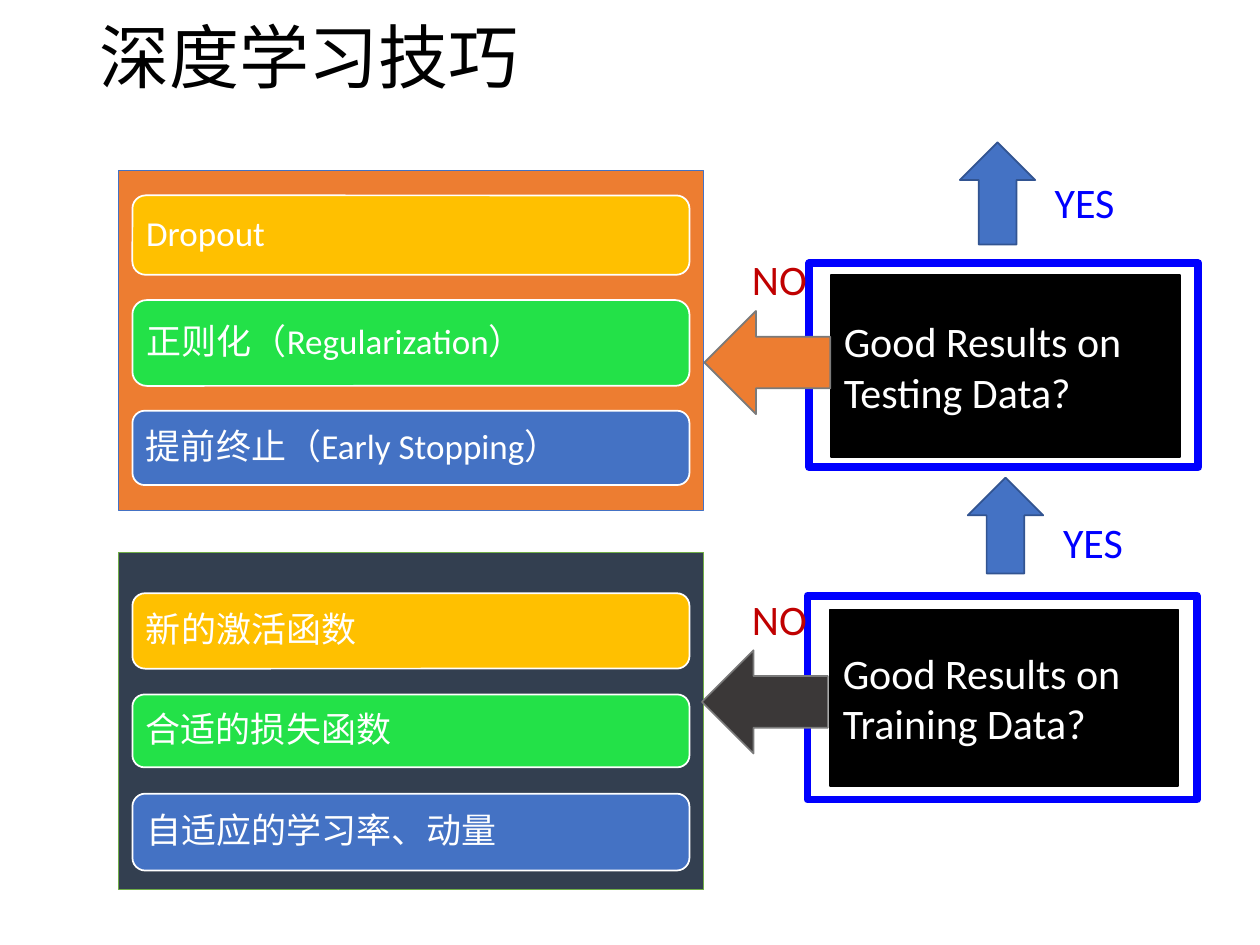
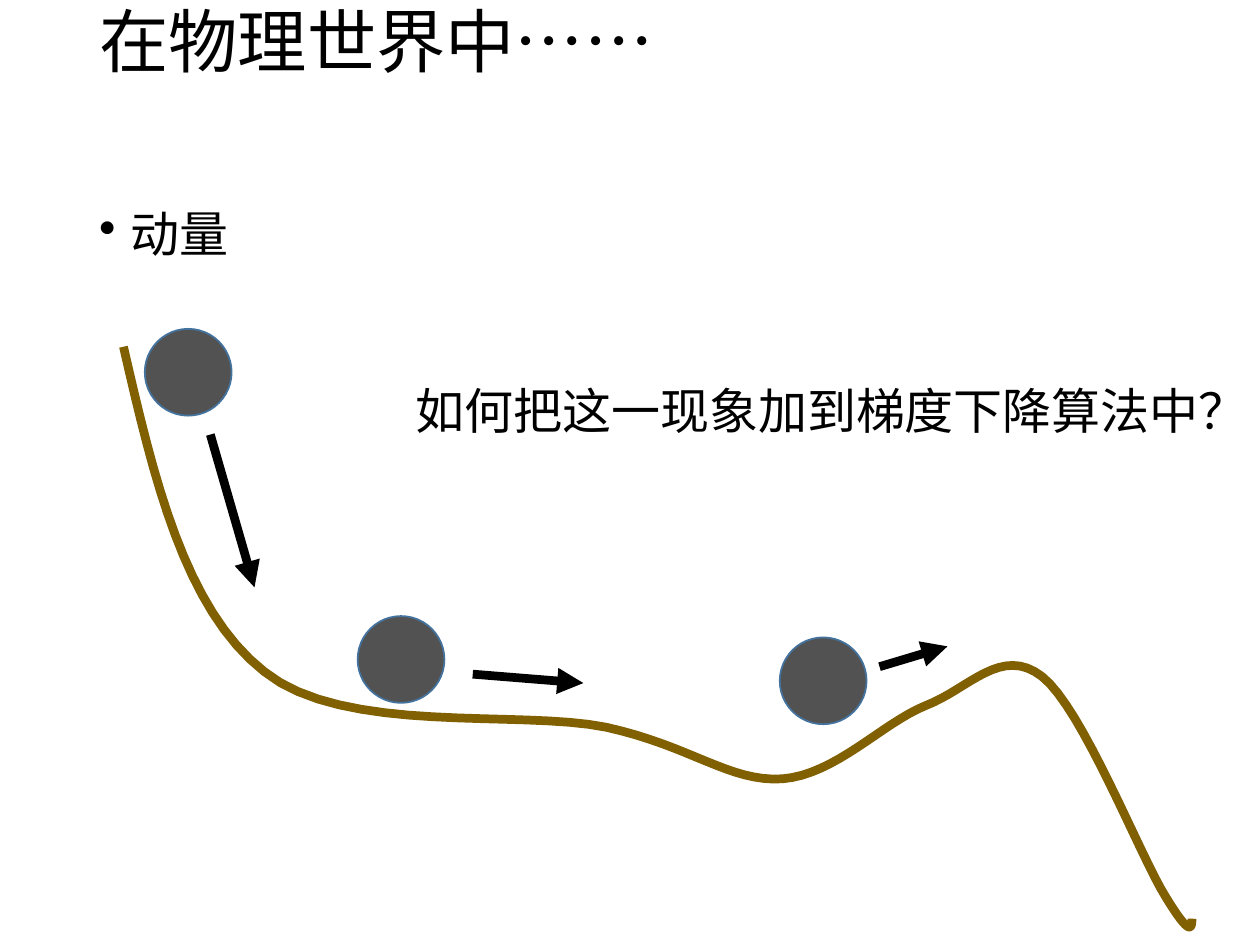
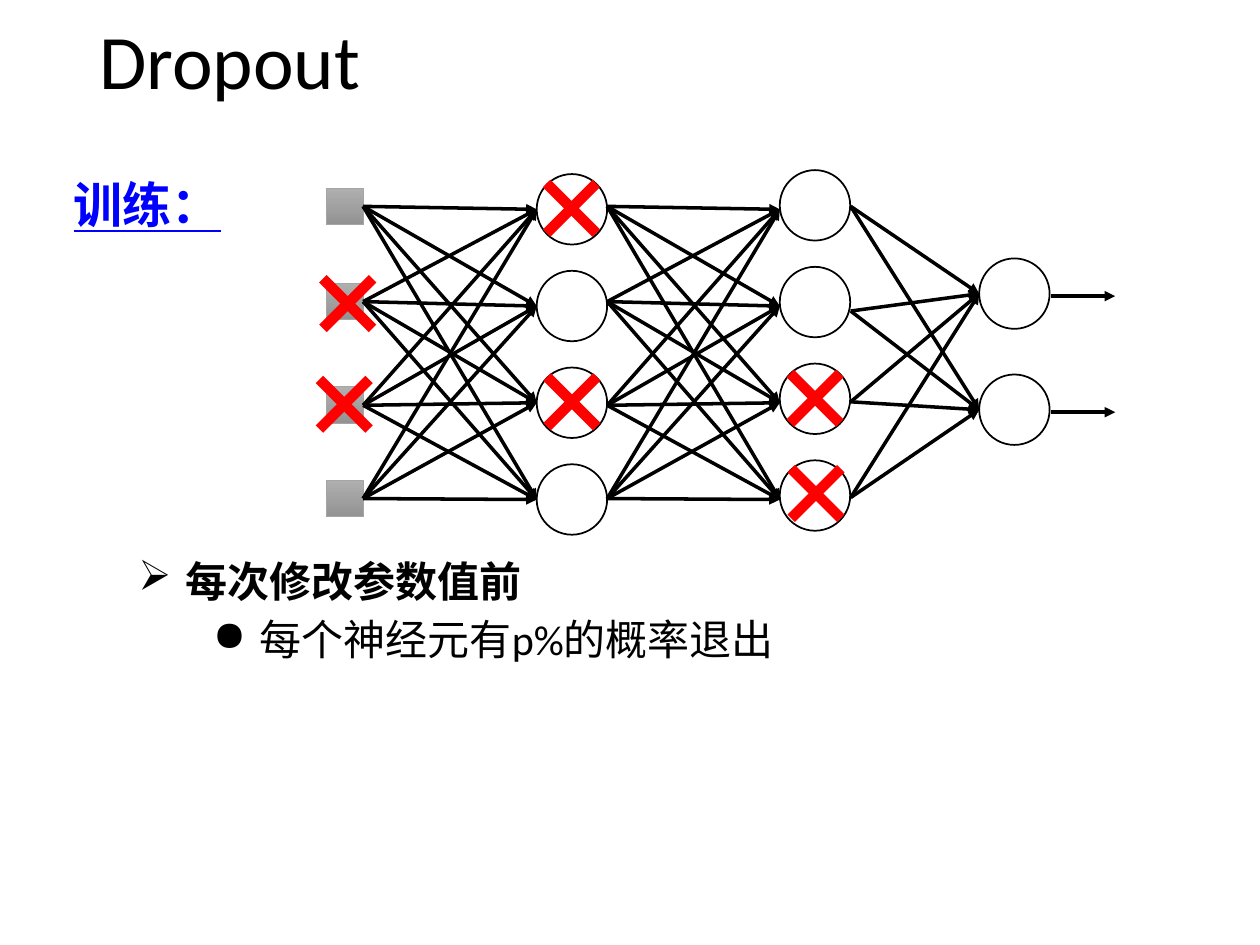
from pptx import Presentation
from pptx.dml.color import RGBColor as RGB
from pptx.enum.shapes import MSO_CONNECTOR as LINK, MSO_SHAPE as SHAPE
from pptx.enum.text import MSO_ANCHOR as ANCHOR, PP_ALIGN as ALIGN
from pptx.oxml.ns import qn
from pptx.util import Cm, Pt
from lxml.etree import SubElement

FONT = "Calibri"
BLACK = RGB(0x00, 0x00, 0x00)
WHITE = RGB(0xFF, 0xFF, 0xFF)
BLUE = RGB(0x44, 0x72, 0xC4)
NAVY = RGB(0x32, 0x54, 0x91)
VIVID = RGB(0x00, 0x00, 0xFF)
SLATE = RGB(0x33, 0x3F, 0x50)
STEEL = RGB(0x43, 0x73, 0x9E)
ORANGE = RGB(0xED, 0x7D, 0x31)
GOLD = RGB(0xFF, 0xC0, 0x00)
GREEN = RGB(0x23, 0xE1, 0x48)
LEAF = RGB(0x70, 0xAD, 0x47)
BROWN = RGB(0x80, 0x60, 0x00)
CRIMSON = RGB(0xC0, 0x00, 0x00)
RED = RGB(0xFF, 0x00, 0x00)
COAL = RGB(0x3B, 0x38, 0x38)
BALL = RGB(0x52, 0x52, 0x52)
GREY = RGB(0x7A, 0x7A, 0x7A)
PALE = RGB(0xAF, 0xAF, 0xAF)
MID = RGB(0xA5, 0xA5, 0xA5)
DIM = RGB(0x93, 0x93, 0x93)


def put(slide, kind, box, fill=None, line=None, width=1, text="",
        size=24, color=BLACK, bullet=None, indent=0.95):
    """Add a preset shape, or a text box when kind is None."""
    box = [Cm(n) for n in box]
    if kind is None:
        item = slide.shapes.add_textbox(*box)
    else:
        item = slide.shapes.add_shape(kind, *box)
        item.shadow.inherit = False
        if fill is None:
            item.fill.background()
        else:
            item.fill.solid()
            item.fill.fore_color.rgb = fill
        item.line.color.rgb = line
        item.line.width = Pt(width)
    if text:
        frame = item.text_frame
        frame.text = text
        frame.word_wrap = True
        par = frame.paragraphs[0]
        font = par.runs[0].font
        font.name, font.size, font.color.rgb = FONT, Pt(size), color
        if bullet:
            props = par._p.get_or_add_pPr()
            props.set("marL", str(Cm(indent)))
            props.set("indent", str(-Cm(indent)))
            SubElement(props, qn("a:buChar")).set("char", bullet)
    return item


def link(slide, x1, y1, x2, y2, color=BLACK, width=2, head=True):
    """Add a straight line, with an arrowhead at its end by default."""
    item = slide.shapes.add_connector(
        LINK.STRAIGHT, Cm(x1), Cm(y1), Cm(x2), Cm(y2))
    item.line.color.rgb = color
    item.line.width = Pt(width)
    if head:
        SubElement(item.line._get_or_add_ln(), qn("a:tailEnd")).set("type", "triangle")
    SubElement(item._element.spPr, qn("a:effectLst"))
    return item


deck = Presentation()
deck.slide_width, deck.slide_height = Cm(25.4), Cm(19.05)

# Slides and their titles: text, height, size, line spacing
titles = [("深度学习技巧", 1.96, 40, 1),
          ("在物理世界中……", 1.55, 39.6, 0.9),
          ("Dropout", 2.36, 44, 0.9)]
pages = []
for text, high, size, gap in titles:
    page = deck.slides.add_slide(deck.slide_layouts[6])
    title = put(page, None, (1.75, 0.13, 21.9, high), text=text, size=size)
    title.text_frame.vertical_anchor = ANCHOR.MIDDLE
    title.text_frame.paragraphs[0].line_spacing = gap
    pages.append(page)
tips, hill, drop = pages

# Slide 1: each stage has a panel of tips, a question and its two answers
stages = [
    dict(panel=(3.43, 6.86), fill=ORANGE, edge=BLUE, back=ORANGE,
         bars=[("Dropout", 3.94, 1.6), ("正则化（Regularization）", 6.05, 1.73),
               ("提前终止（Early Stopping）", 8.28, 1.5)],
         ask="Good Results on Testing Data?", gate=(16.76, 5.54, 7.03, 3.68),
         ring=(16.31, 5.31), up=(19.35, 2.87, 1.52, 2.06), yes=(21.01, 3.43),
         no=4.98, left=(14.2, 6.27)),
    dict(panel=(11.13, 6.81), fill=SLATE, edge=LEAF, back=COAL,
         bars=[("新的激活函数", 11.96, 1.52), ("合适的损失函数", 14, 1.47),
               ("自适应的学习率、动量", 16, 1.55)],
         ask="Good Results on Training Data?", gate=(16.74, 12.29, 7.01, 3.56),
         ring=(16.28, 12.01), up=(19.51, 9.63, 1.52, 1.93), yes=(21.18, 10.29),
         no=11.84, left=(14.15, 13.11)),
]
for stage in stages:
    top, high = stage["panel"]
    put(tips, SHAPE.RECTANGLE, (2.39, top, 11.79, high), stage["fill"], stage["edge"], 0.5)
    for (text, top, high), fill in zip(stage["bars"], (GOLD, GREEN, BLUE)):
        bar = put(tips, SHAPE.ROUNDED_RECTANGLE, (2.67, top, 11.23, high),
                  fill, WHITE, 1, text, 20, WHITE)
        bar.text_frame.margin_left = Cm(0.2)
        bar.text_frame.paragraphs[0].alignment = ALIGN.LEFT
        bar.text_frame.paragraphs[0].line_spacing = 0.9
    put(tips, SHAPE.RECTANGLE, stage["gate"], BLACK, BLACK, 1, stage["ask"], 24, WHITE)
    put(tips, SHAPE.RECTANGLE, (*stage["ring"], 7.85, 4.11), None, VIVID, 4.5)
    put(tips, SHAPE.UP_ARROW, stage["up"], BLUE, NAVY)
    put(tips, SHAPE.LEFT_ARROW, (*stage["left"], 2.54, 2.08), stage["back"], GREY)
    put(tips, None, (*stage["yes"], 2.13, 1.27), text="YES", color=VIVID)
    put(tips, None, (14.91, stage["no"], 1.85, 1.27), text="NO", color=CRIMSON)

# Slide 2: text
body = put(hill, None, (1.75, 4.11, 21.9, 13.03), text="动量", size=28,
           bullet="•", indent=0.64)
body.text_frame.paragraphs[0].line_spacing = 0.9
body.text_frame.paragraphs[0].space_before = Pt(10)
put(hill, None, (8.13, 7.54, 16.36, 1.45), text="如何把这一现象加到梯度下降算法中？", size=28)

# Slide 2: the slope, a chain of cubic curves drawn in short steps
start = (2.49, 6.99)
curves = [((3.1, 9.63), (3.71, 12.27), (5.33, 13.54)),
          ((6.93, 14.83), (10.46, 14.3), (12.22, 14.66)),
          ((13.94, 15.04), (14.71, 15.77), (15.77, 15.7)),
          ((16.84, 15.62), (17.78, 14.58), (18.67, 14.22)),
          ((19.53, 13.89), (20.19, 13), (21.01, 13.64)),
          ((21.82, 14.27), (22.99, 17.27), (23.5, 18.08)),
          ((24, 18.9), (24.03, 18.72), (24.03, 18.52))]
steps = 16
points, here = [], start
for one, two, end in curves:
    for i in range(1, steps + 1):
        t = i / steps
        u = 1 - t
        points.append([Cm(u**3 * a + 3 * u * u * t * b + 3 * u * t * t * c + t**3 * d)
                       for a, b, c, d in zip(here, one, two, end)])
    here = end
path = hill.shapes.build_freeform(Cm(start[0]), Cm(start[1]))
path.add_line_segments(points, close=False)
slope = path.convert_to_shape()
slope.shadow.inherit = False
slope.fill.background()
slope.line.color.rgb = BROWN
slope.line.width = Pt(5)

# Slide 2: balls and the way each one moves
for left, top in [(2.92, 6.63), (7.21, 12.42), (15.72, 12.85)]:
    put(hill, SHAPE.OVAL, (left, top, 1.75, 1.75), BALL, STEEL)
for ends in [(4.24, 8.76, 5.13, 11.84), (9.53, 13.59, 11.76, 13.77),
             (17.73, 13.44, 19.1, 13.03)]:
    link(hill, *ends, width=5)

# Slide 3: text
label = put(drop, None, (1.24, 3.4, 3.66, 1.45), text="训练：", size=28, color=VIVID)
font = label.text_frame.paragraphs[0].runs[0].font
font.bold = font.underline = True
note = put(drop, None, (2.54, 11.07, 17.53, 1.27), text="每次修改参数值前", bullet="➢")
note.text_frame.paragraphs[0].runs[0].font.bold = True
put(drop, None, (4.04, 12.24, 17.86, 1.27), text="每个神经元有p%的概率退出", bullet="●")

# Slide 3: input squares and neuron circles
squares = []
for top in (3.79, 5.71, 7.8, 9.68):
    square = put(drop, SHAPE.RECTANGLE, (6.58, top, 0.74, 0.74), MID, MID, 0.5)
    square.fill.gradient()
    square.fill.gradient_angle = 270
    for stop, tone in zip(square.fill.gradient_stops, (PALE, DIM)):
        stop.color.rgb = tone
    squares.append(square)
step, gap = 1.95, 2.34
for left, top, pitch, count in [(10.82, 3.51, step, 4), (15.72, 3.43, step, 4),
                                (19.74, 5.21, gap, 2)]:
    for i in range(count):
        put(drop, SHAPE.OVAL, (left, top + i * pitch, 1.42, 1.42), None, BLACK)

# Slide 3: every node feeds each node of the next layer
outs = [4.16, 6.08, 8.17, 10.05]
ins = [4.22 + i * step for i in range(4)]
lasts = [5.92 + i * gap for i in range(2)]
for x1, x2, tails, heads in [(7.32, 10.82, outs, ins), (12.24, 15.72, outs, ins),
                             (17.15, 19.74, [4.16, 6.27, 8.1, 10.03], lasts)]:
    for i, y1 in enumerate(tails):
        for y2 in heads:
            arrow = link(drop, x1, y1, x2, y2)
            if x1 == 7.32:
                arrow.begin_connect(squares[i], 3)
for i in range(2):
    link(drop, 21.18, 5.97 + i * gap, 22.48, 5.97 + i * gap)

# Slide 3: crosses on the nodes that drop out
arm = 0.5
for x, y in [(11.52, 4.2), (11.53, 8.1), (16.43, 8.03), (16.45, 9.95),
             (6.94, 8.15), (7.01, 6.12)]:
    for side in (arm, -arm):
        link(drop, x - side, y - arm, x + side, y + arm, RED, 6, head=False)

deck.save("out.pptx")
